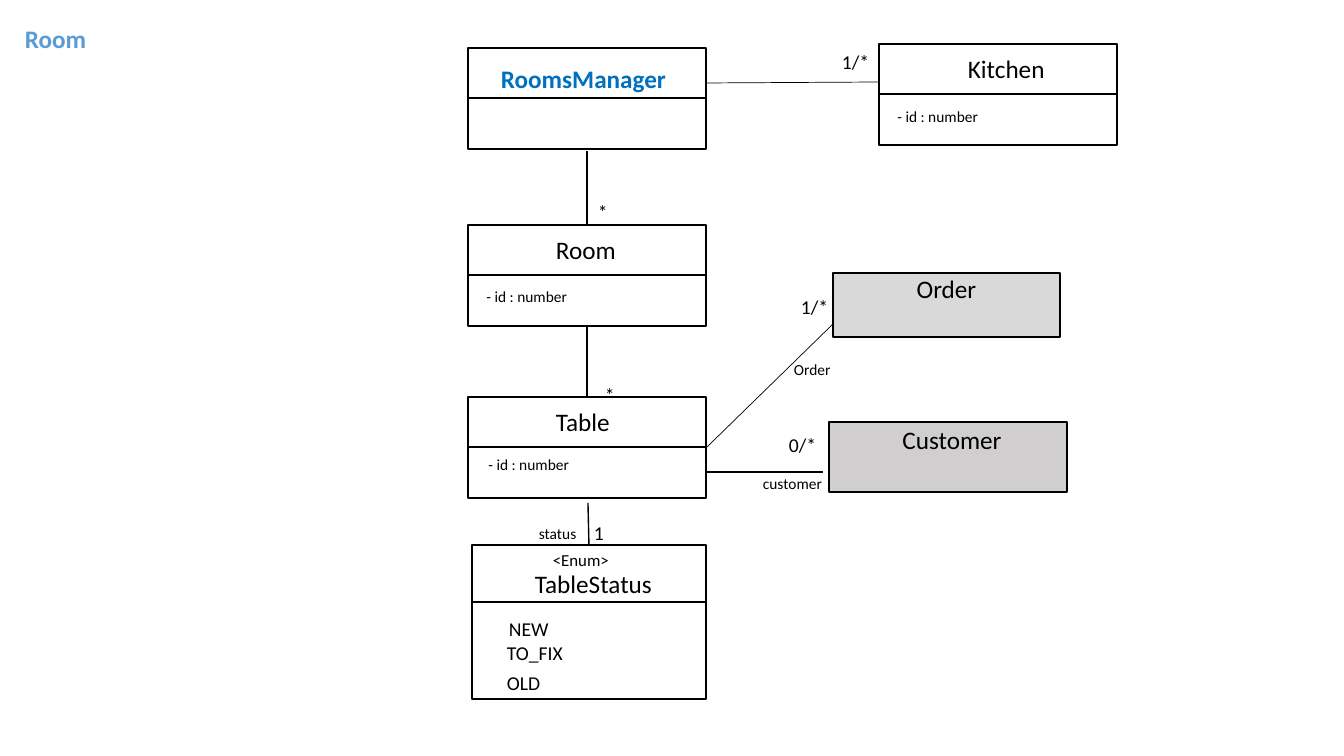
"""Build a class diagram slide of rooms, tables and their related classes."""
from pptx import Presentation
from pptx.dml.color import RGBColor
from pptx.enum.shapes import MSO_CONNECTOR, MSO_SHAPE
from pptx.enum.text import MSO_AUTO_SIZE, PP_ALIGN
from pptx.oxml.ns import qn
from pptx.util import Emu, Pt
from lxml import etree

RECT, STRAIGHT = MSO_SHAPE.RECTANGLE, MSO_CONNECTOR.STRAIGHT
LEFT, CENTER = PP_ALIGN.LEFT, PP_ALIGN.CENTER
GROW = MSO_AUTO_SIZE.SHAPE_TO_FIT_TEXT
SCALE = 914400 / 100.8
FONT = "Calibri"
COLORS = {"black": "000000", "white": "FFFFFF", "order": "D9D9D9",
          "customer": "D0CECE", "manager": "0070C0", "title": "5B9BD5"}
TEXT_HEIGHTS = {18: 40, 14: 34, 12: 30, 11: 29}

# x, y, width, height, fill, divider offset
CLASS_BOXES = [
    (468, 48, 238, 101, "white", 50),
    (468, 225, 238, 101, "white", 50),
    (468, 397, 238, 101, "white", 50),
    (879, 44, 238, 101, "white", 50),
    (472, 545, 234, 154, "white", 57),
    (833, 273, 227, 64, "order", None),
    (829, 422, 238, 70, "customer", None),
]
ASSOCIATIONS = [
    (587, 225, 587, 151, 1),
    (587, 397, 587, 326, 1),
    (589, 545, 588, 503, 1),
    (706, 472, 823, 472, 1),
    (706, 448, 833, 324, 0.5),
    (706, 83, 879, 82, 0.5),
]
HEADINGS = [
    ("Room", 15, 18, 82, "title"),
    ("RoomsManager", 491, 58, 188, "manager"),
]
FITTED_LABELS = [
    ("Room", 546, 229, 81, 18),
    ("Table", 546, 401, 75, 18),
    ("Kitchen", 958, 48, 98, 18),
    (" - id : number", 473, 282, 105, 11),
    (" - id : number", 475, 450, 105, 11),
    (" - id : number", 884, 102, 105, 11),
    ("*", 588, 195, 30, 14),
    ("*", 595, 378, 30, 14),
    ("1", 584, 516, 30, 14),
    ("0/*", 779, 428, 48, 14),
    ("1/*", 791, 290, 48, 14),
    ("1/*", 832, 45, 48, 14),
    ("status", 529, 519, 58, 11),
    ("customer", 753, 469, 80, 11),
    ("Order", 784, 355, 57, 11),
]
WRAPPED_LABELS = [
    ("Order", 838, 268, 217, 18, CENTER),
    ("Customer", 832, 419, 240, 18, CENTER),
    ("TableStatus", 525, 563, 180, 18, LEFT),
    ("<Enum>", 543, 545, 112, 12, LEFT),
    ("NEW", 499, 612, 88, 14, LEFT),
    ("TO_FIX", 497, 636, 112, 14, LEFT),
    ("OLD", 497, 666, 79, 14, LEFT),
]


def px(*values):
    return [Emu(round(v * SCALE)) for v in values]


def rgb(name):
    return RGBColor.from_string(COLORS[name])


def add_line(x1, y1, x2, y2, weight=1):
    line = slide.shapes.add_connector(STRAIGHT, *px(x1, y1, x2, y2))
    line.line.color.rgb = rgb("black")
    line.line.width = Pt(weight)
    etree.SubElement(line._element.spPr, qn("a:effectLst"))


def add_class_box(x, y, w, h, fill, divider):
    sp = slide.shapes.add_shape(RECT, *px(x, y, w, h))
    sp.shadow.inherit = False
    sp.fill.solid()
    sp.fill.fore_color.rgb = rgb(fill)
    sp.line.color.rgb = rgb("black")
    sp.line.width = Pt(1)
    if divider:
        add_line(x, y + divider, x + w, y + divider)


def add_label(text, x, y, w, size, align=LEFT, wrap=False, color="black", bold=False):
    tf = slide.shapes.add_textbox(*px(x, y, w, TEXT_HEIGHTS[size])).text_frame
    tf.word_wrap = wrap
    tf.auto_size = GROW
    p = tf.paragraphs[0]
    p.alignment = align
    r = p.add_run()
    r.text = text
    r.font.name = FONT
    r.font.size = Pt(size)
    r.font.bold = bold
    r.font.color.rgb = rgb(color)


prs = Presentation()
prs.slide_width, prs.slide_height = px(1344, 756)
slide = prs.slides.add_slide(prs.slide_layouts[6])

for box in CLASS_BOXES:
    add_class_box(*box)
for association in ASSOCIATIONS:
    add_line(*association)
for text, x, y, w, color in HEADINGS:
    add_label(text, x, y, w, 18, color=color, bold=True)
for label in FITTED_LABELS:
    add_label(*label)
for label in WRAPPED_LABELS:
    add_label(*label, wrap=True)

prs.save("out.pptx")
